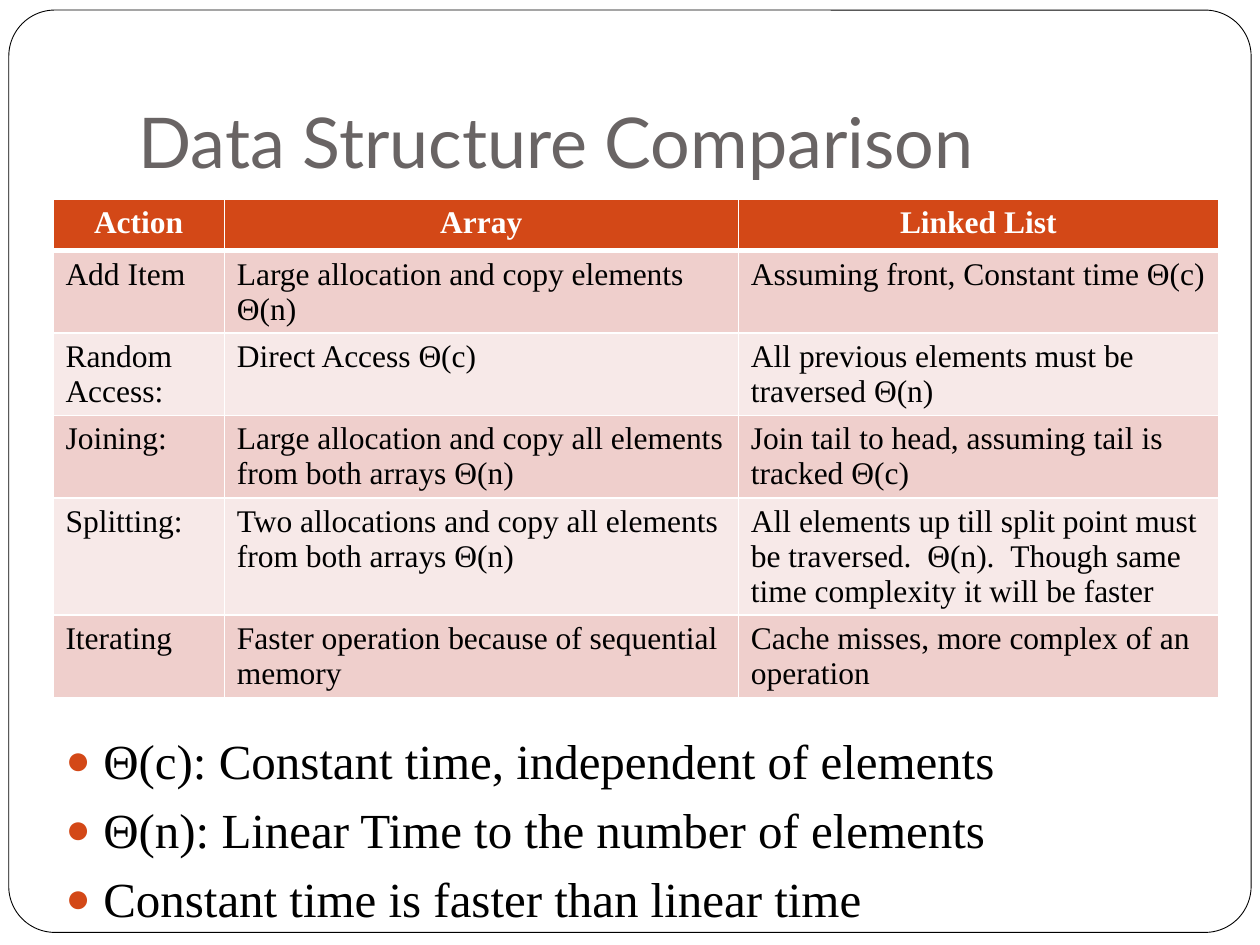
from lxml.etree import SubElement
from pptx import Presentation
from pptx.dml.color import RGBColor
from pptx.enum.shapes import MSO_SHAPE
from pptx.enum.text import MSO_ANCHOR, MSO_AUTO_SIZE, PP_ALIGN
from pptx.oxml.ns import qn
from pptx.util import Inches, Pt

WHITE, BLACK, ORANGE, GREY = "FFFFFF", "000000", "D34817", "696464"
BANDS = ["EFCFCC", "F7E9E8"]
SERIF = "Times New Roman"

COLUMN_WIDTHS = [1.36, 4.08, 3.81]
ROW_HEIGHTS = [0.41, 0.65, 0.65, 0.65, 0.93, 0.65]
COMPARISON = [
    ["Action", "Array", "Linked List"],
    ["Add Item", "Large allocation and copy elements Θ(n)",
     "Assuming front, Constant time Θ(c)"],
    ["Random Access:", "Direct Access Θ(c)",
     "All previous elements must be traversed Θ(n)"],
    ["Joining:", "Large allocation and copy all elements from both arrays Θ(n)",
     "Join tail to head, assuming tail is tracked Θ(c)"],
    ["Splitting:", "Two allocations and copy all elements from both arrays Θ(n)",
     "All elements up till split point must be traversed.  Θ(n).  "
     "Though same time complexity it will be faster"],
    ["Iterating", "Faster operation because of sequential memory",
     "Cache misses, more complex of an operation"],
]
NOTES = [
    "Θ(c): Constant time, independent of elements",
    "Θ(n): Linear Time to the number of elements",
    "Constant time is faster than linear time",
]


def color(value):
    return RGBColor.from_string(value)


def place(shape, box):
    shape.left, shape.top, shape.width, shape.height = map(Inches, box)


def write(paragraph, text, size=18, font=SERIF, fill=BLACK, bold=False,
          align=PP_ALIGN.LEFT):
    paragraph.alignment = align
    run = paragraph.add_run()
    run.text = text
    run.font.size, run.font.name, run.font.bold = Pt(size), font, bold
    run.font.color.rgb = color(fill)


def add_bullet(paragraph, char, fill, percent, indent):
    properties = paragraph._p.get_or_add_pPr()
    properties.set("marL", str(Inches(indent)))
    properties.set("indent", str(-Inches(indent)))
    bullet_color = SubElement(properties, qn("a:buClr"))
    SubElement(bullet_color, qn("a:srgbClr"), val=fill)
    SubElement(properties, qn("a:buSzPct"), val=str(percent * 1000))
    SubElement(properties, qn("a:buChar"), char=char)


def set_borders(cell, bottom):
    properties = cell._tc.get_or_add_tcPr()
    widths = {"a:lnL": 1, "a:lnR": 1, "a:lnT": 1, "a:lnB": bottom}
    for index, (tag, width) in enumerate(widths.items()):
        line = properties.makeelement(qn(tag), {"w": str(Pt(width))})
        solid = SubElement(line, qn("a:solidFill"))
        SubElement(solid, qn("a:srgbClr"), val=WHITE)
        properties.insert(index, line)  # borders come before the fill


def build_frame(slide, box):
    frame = slide.shapes.add_shape(MSO_SHAPE.ROUNDED_RECTANGLE, *map(Inches, box))
    frame.adjustments[0] = 0.05
    frame.shadow.inherit = False
    frame.fill.solid()
    frame.fill.fore_color.rgb = color(WHITE)
    frame.line.color.rgb = color(BLACK)
    frame.line.width = Pt(0.5)
    slide.shapes._spTree.insert(2, frame._element)  # send to back


def build_title(slide, box, text):
    title = slide.shapes.title
    place(title, box)
    text_frame = title.text_frame
    text_frame.auto_size = MSO_AUTO_SIZE.NONE
    text_frame.vertical_anchor = MSO_ANCHOR.BOTTOM
    text_frame.margin_bottom = Inches(0.1)
    write(text_frame.paragraphs[0], text, size=40, font="Lato", fill=GREY)


def build_table(slide, box, rows):
    table = slide.shapes.add_table(
        len(rows), len(rows[0]), *map(Inches, box)).table
    for column, width in zip(table.columns, COLUMN_WIDTHS):
        column.width = Inches(width)
    for index, (row, height, texts) in enumerate(
            zip(table.rows, ROW_HEIGHTS, rows)):
        row.height = Inches(height)
        header = index == 0
        for cell, text in zip(row.cells, texts):
            cell.fill.solid()
            cell.fill.fore_color.rgb = color(
                ORANGE if header else BANDS[(index - 1) % 2])
            # The rule under the header is shared with the first body row
            set_borders(cell, bottom=3 if header else 1)
            if index == 1:
                cell._tc.tcPr.find(qn("a:lnT")).set("w", str(Pt(3)))
            write(cell.text_frame.paragraphs[0], text, bold=header,
                  fill=WHITE if header else BLACK,
                  align=PP_ALIGN.CENTER if header else PP_ALIGN.LEFT)


def build_notes(slide, box, lines):
    body = slide.placeholders[1]
    place(body, box)
    text_frame = body.text_frame
    text_frame.auto_size = MSO_AUTO_SIZE.NONE
    for index, line in enumerate(lines):
        paragraph = (text_frame.add_paragraph() if index
                     else text_frame.paragraphs[0])
        paragraph.space_before = Pt(5.8)
        add_bullet(paragraph, "●", ORANGE, percent=85, indent=0.3)
        write(paragraph, line, size=28)


def main():
    presentation = Presentation()
    presentation.slide_width, presentation.slide_height = Inches(10), Inches(7.5)
    slide = presentation.slides.add_slide(presentation.slide_layouts[1])
    build_frame(slide, (0.07, 0.08, 9.86, 7.32))
    build_title(slide, (1, 0.3, 8.5, 1.25), "Data Structure Comparison")
    build_table(slide, (0.42, 1.58, sum(COLUMN_WIDTHS), sum(ROW_HEIGHTS)),
                COMPARISON)
    build_notes(slide, (0.42, 5.75, 9.08, 1.68), NOTES)
    presentation.save("out.pptx")


if __name__ == "__main__":
    main()
